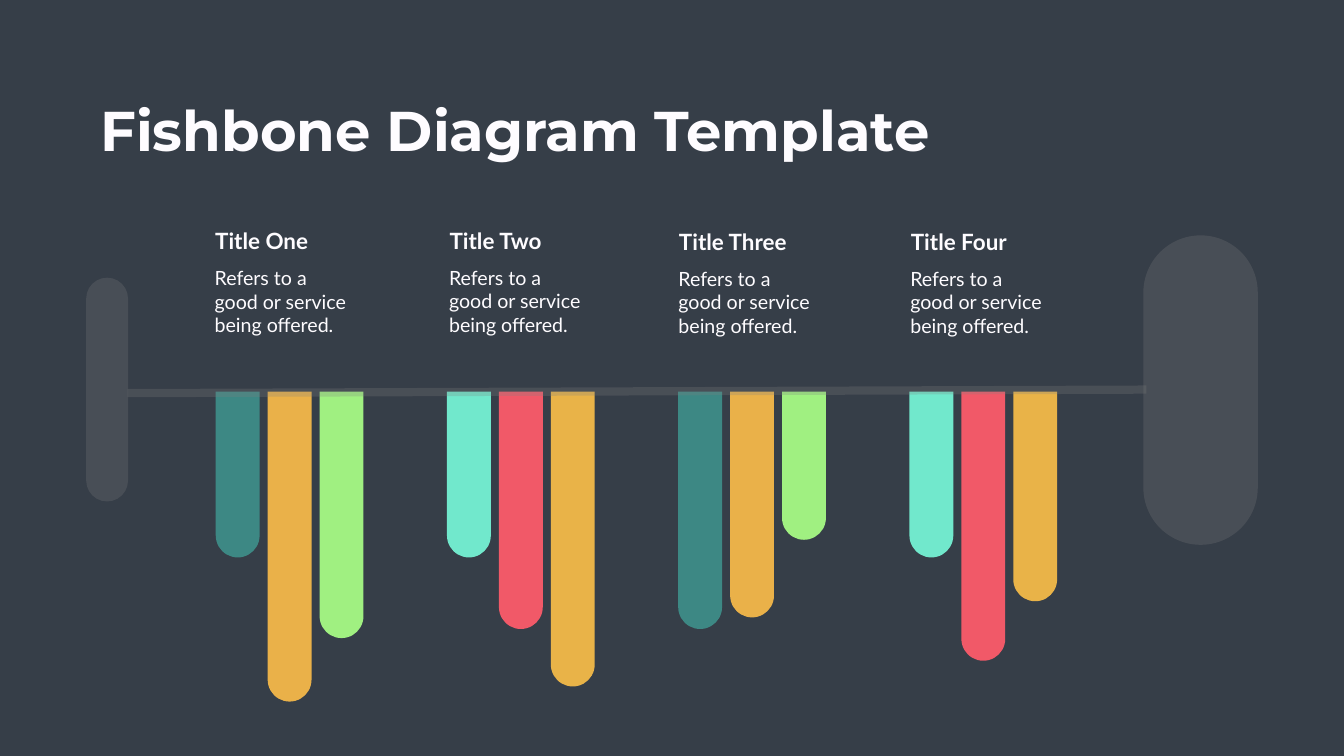
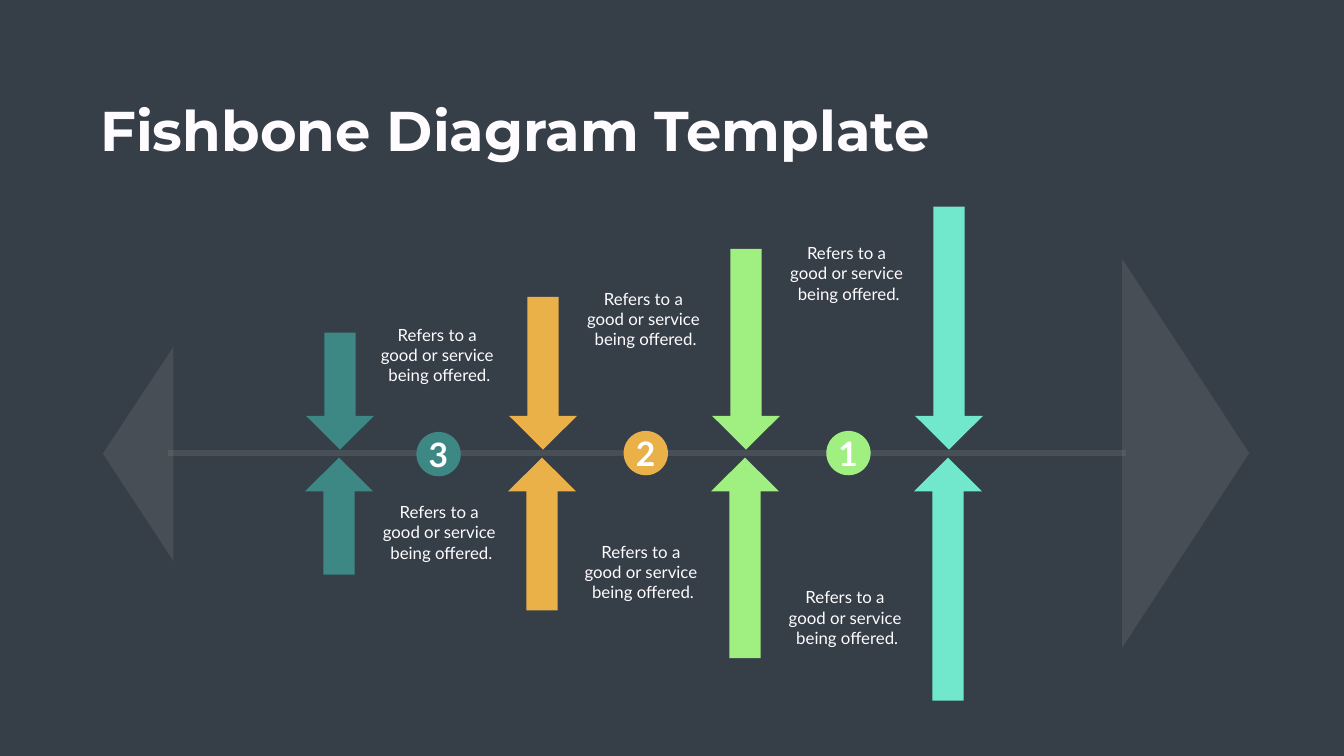
"""Build two fishbone diagram slides on a dark background."""
from dataclasses import dataclass

from lxml import etree
from pptx import Presentation
from pptx.dml.color import RGBColor
from pptx.enum.shapes import MSO_CONNECTOR, MSO_SHAPE
from pptx.enum.text import MSO_ANCHOR, MSO_AUTO_SIZE, PP_ALIGN
from pptx.oxml.ns import qn
from pptx.util import Inches, Length, Pt

STRAIGHT = MSO_CONNECTOR.STRAIGHT
RECTANGLE = MSO_SHAPE.RECTANGLE
CAPSULE = MSO_SHAPE.ROUNDED_RECTANGLE
ROUND_END_BAR = MSO_SHAPE.ROUND_2_SAME_RECTANGLE
CIRCLE = MSO_SHAPE.OVAL
TOP = MSO_ANCHOR.TOP
GROW = MSO_AUTO_SIZE.SHAPE_TO_FIT_TEXT
LEFT, CENTER = PP_ALIGN.LEFT, PP_ALIGN.CENTER

COLUMNS, ROWS = 26.66, 15
TITLE_ONLY_LAYOUT = 5
TITLE = "Fishbone Diagram Template"
BODY_FONT, TITLE_FONT = "Lato", "Montserrat"
BACKGROUND, BONE, TEXT, WHITE = "363E48", "808080", "FEFCFF", "FFFFFF"
BONE_OPACITY = 25
TEAL, GOLD, LIME, MINT, CORAL, AMBER = (
    "3D8884", "EAB149", "A0F081", "71E8CC", "F15968", "E9B348")
BODY_LINES = ["Refers to a", "good or service", "being offered."]
CENTERED_LINES = ["Refers to a ", "good or service ", "being offered."]


@dataclass(frozen=True)
class Box:
    """A rectangle in columns and rows of the slide grid."""
    left: float
    top: float
    width: float
    height: float


@dataclass(frozen=True)
class BarGroup:
    """A heading with its text and three hanging bars."""
    heading: str
    left: float
    top: float
    heading_width: float
    bars: tuple[tuple[str, float], ...]


@dataclass(frozen=True)
class ArrowPair:
    """Two arrows that meet at the spine."""
    color: str
    shaft_top: float


@dataclass(frozen=True)
class Stage:
    """A numbered circle with a text above and below the spine."""
    number: str
    color: str
    circle_left: float
    circle_top: float
    upper: tuple[float, float]
    lower: tuple[float, float]


BAR_GROUPS = [
    BarGroup("Title One", 4.17, 4.46, 2.51, ((TEAL, 3.29), (GOLD, 6.15), (LIME, 4.89))),
    BarGroup("Title Two", 8.82, 4.45, 2.51, ((MINT, 3.29), (CORAL, 4.71), (AMBER, 5.85))),
    BarGroup("Title Three", 13.37, 4.47, 2.82, ((TEAL, 4.71), (GOLD, 4.48), (LIME, 2.94))),
    BarGroup("Title Four", 17.97, 4.47, 2.69, ((MINT, 3.29), (CORAL, 5.34), (AMBER, 4.16))),
]
BAR_LEFT, BAR_TOP, BAR_WIDTH = 4.28, 7.77, 0.87
BAR_STEP, GROUP_STEP = 1.03, 13.76 / 3

ARROW_PAIRS = [ArrowPair(TEAL, 6.6), ArrowPair(GOLD, 5.89),
               ArrowPair(LIME, 4.94), ArrowPair(MINT, 4.1)]
ARROW_STEP, ARROW_AXIS = 12.08 / 3, 9
HEAD_WIDTH, SHAFT_WIDTH = 1.35, 0.62
TIP_GAP, HEAD_GAP, SHAFT_GAP = 0.08, 0.75, 0.73

STAGES = [
    Stage("3", TEAL, 8.26, 8.57, (7.13, 6.39), (7.17, 9.91)),
    Stage("2", GOLD, 12.37, 8.55, (11.22, 5.67), (11.17, 10.7)),
    Stage("1", LIME, 16.39, 8.55, (15.25, 4.77), (15.22, 11.6)),
]


def cells(count: float) -> Length:
    """Turn a number of grid cells into a length."""
    return Inches(count)


def frame(box: Box) -> tuple[Length, Length, Length, Length]:
    """Give the four lengths of a box."""
    return cells(box.left), cells(box.top), cells(box.width), cells(box.height)


def paint(target, color: str) -> None:
    """Set a solid fill from a hex string."""
    target.solid()
    target.fore_color.rgb = RGBColor.from_string(color)


def set_opacity(shape, percent: int) -> None:
    """Make the explicit colours of a shape see-through."""
    for color in shape.element.spPr.iter(qn("a:srgbClr")):
        etree.SubElement(color, qn("a:alpha")).set("val", str(percent * 1000))


def finish(shape, color: str, opacity: int = 100):
    """Give a shape a flat fill without line or shadow."""
    shape.shadow.inherit = False
    shape.line.fill.background()
    paint(shape.fill, color)
    if opacity < 100:
        set_opacity(shape, opacity)
    return shape


def add_block(slide, kind, box: Box, color: str, opacity: int = 100):
    """Add a preset shape."""
    return finish(slide.shapes.add_shape(kind, *frame(box)), color, opacity)


def add_triangle(slide, corners: list[tuple[float, float]], color: str, opacity: int = 100):
    """Add a triangle through three grid points."""
    points = [(cells(x), cells(y)) for x, y in corners]
    builder = slide.shapes.build_freeform(*points[0])
    builder.add_line_segments(points[1:], close=True)
    return finish(builder.convert_to_shape(), color, opacity)


def add_spine(slide, start: tuple[float, float], end: tuple[float, float], width: float) -> None:
    """Add the see-through line that carries the bones."""
    spine = slide.shapes.add_connector(STRAIGHT, *(cells(value) for value in start + end))
    spine.line.width = Pt(width)
    paint(spine.line.fill, BONE)
    set_opacity(spine, BONE_OPACITY)
    etree.SubElement(spine.element.spPr, qn("a:effectLst"))


def write_text(shape, lines: list[str], *, size: float, font: str = BODY_FONT,
               color: str = TEXT, bold: bool = False, align=LEFT, wrap: bool = True) -> None:
    """Fill a shape with one paragraph per line in a single format."""
    text_frame = shape.text_frame
    text_frame.word_wrap = wrap
    text_frame.auto_size = GROW
    text_frame.vertical_anchor = TOP
    text_frame.text = "\n".join(lines)
    for paragraph in text_frame.paragraphs:
        paragraph.alignment = align
        for run in paragraph.runs:
            run.font.name = font
            run.font.size = Pt(size)
            run.font.bold = bold
            paint(run.font.fill, color)


def add_text(slide, box: Box, lines: list[str], **text_format) -> None:
    """Add a text box."""
    write_text(slide.shapes.add_textbox(*frame(box)), lines, **text_format)


def add_titled_slide(presentation):
    """Add a slide with the shared title."""
    slide = presentation.slides.add_slide(presentation.slide_layouts[TITLE_ONLY_LAYOUT])
    title = slide.shapes.title
    title.left, title.top, title.width, title.height = frame(Box(1.89, 1.85, 16.71, 1.45))
    write_text(title, [TITLE], size=80, font=TITLE_FONT, bold=True, wrap=False)
    return slide


def draw_bar_group(slide, index: int, group: BarGroup) -> None:
    """Draw the bars and texts of one group."""
    for position, (color, length) in enumerate(group.bars):
        left = BAR_LEFT + index * GROUP_STEP + position * BAR_STEP
        bar = add_block(slide, ROUND_END_BAR, Box(left, BAR_TOP, BAR_WIDTH, length), color)
        bar.adjustments[0], bar.adjustments[1] = 0, 0.5
    add_text(slide, Box(group.left, group.top, group.heading_width, 0.64),
             [group.heading], size=32, bold=True)
    add_text(slide, Box(group.left - 0.01, group.top + 0.77, 3.32, 1.51), BODY_LINES, size=28)


def draw_arrow(slide, left: float, length: float, direction: int, color: str) -> None:
    """Draw one arrow to the spine, from above (-1) or from below (1)."""
    near = ARROW_AXIS + direction * SHAFT_GAP
    far = ARROW_AXIS + direction * length
    add_block(slide, RECTANGLE, Box(left + (HEAD_WIDTH - SHAFT_WIDTH) / 2, min(near, far),
                                    SHAFT_WIDTH, abs(far - near)), color)
    base = ARROW_AXIS + direction * HEAD_GAP
    tip = ARROW_AXIS + direction * TIP_GAP
    add_triangle(slide, [(left + HEAD_WIDTH, base), (left + HEAD_WIDTH / 2, tip), (left, base)],
                 color)


def draw_stage(slide, stage: Stage) -> None:
    """Draw a numbered circle and its two texts."""
    add_block(slide, CIRCLE, Box(stage.circle_left, stage.circle_top, 0.88, 0.88), stage.color)
    add_text(slide, Box(stage.circle_left + 0.13, stage.circle_top - 0.01, 0.61, 0.75),
             [stage.number], size=48, color=WHITE, bold=True, align=CENTER)
    for left, top in (stage.upper, stage.lower):
        add_text(slide, Box(left, top, 3.17, 1.31), CENTERED_LINES, size=24, align=CENTER)


def build_bar_slide(presentation) -> None:
    """Build the slide with hanging bars."""
    slide = add_titled_slide(presentation)
    for index, group in enumerate(BAR_GROUPS):
        draw_bar_group(slide, index, group)
    add_spine(slide, (22.74, 7.73), (2.53, 7.8), 11.75)
    for box in (Box(22.68, 4.67, 2.27, 6.14), Box(1.71, 5.51, 0.83, 4.44)):
        add_block(slide, CAPSULE, box, BONE, BONE_OPACITY).adjustments[0] = 0.5


def build_arrow_slide(presentation) -> None:
    """Build the slide with paired arrows."""
    slide = add_titled_slide(presentation)
    add_spine(slide, (3.33, 8.99), (22.33, 8.99), 8.25)
    for direction, first_left in ((-1, 6.07), (1, 6.05)):
        for index, pair in enumerate(ARROW_PAIRS):
            draw_arrow(slide, first_left + index * ARROW_STEP,
                       ARROW_AXIS - pair.shaft_top, direction, pair.color)
    for corners in ([(22.26, 5.14), (22.26, 12.85), (24.78, 8.99)],
                    [(3.44, 11.13), (3.44, 6.88), (2.04, 9)]):
        add_triangle(slide, corners, BONE, BONE_OPACITY)
    for stage in STAGES:
        draw_stage(slide, stage)


def main() -> None:
    """Create and save the presentation."""
    presentation = Presentation()
    presentation.slide_width, presentation.slide_height = cells(COLUMNS), cells(ROWS)
    paint(presentation.slide_master.background.fill, BACKGROUND)
    build_bar_slide(presentation)
    build_arrow_slide(presentation)
    presentation.save("out.pptx")


if __name__ == "__main__":
    main()
